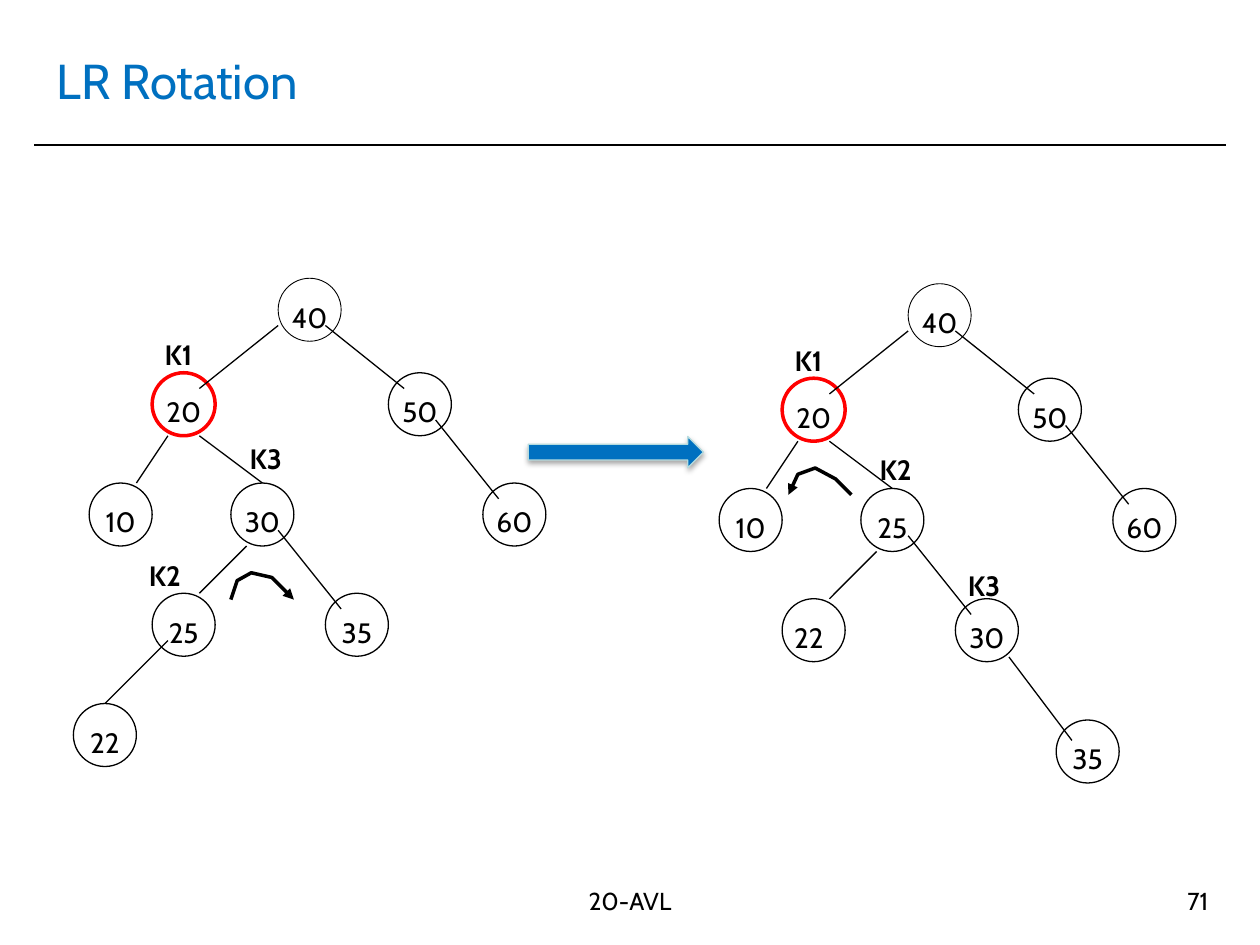
from lxml import etree
from pptx import Presentation
from pptx.dml.color import RGBColor
from pptx.enum.shapes import MSO_CONNECTOR, MSO_SHAPE
from pptx.enum.text import MSO_ANCHOR, MSO_AUTO_SIZE, PP_ALIGN
from pptx.oxml import parse_xml
from pptx.oxml.ns import qn
from pptx.util import Cm, Pt

STRAIGHT = MSO_CONNECTOR.STRAIGHT
OVAL, RECT, BLOCK_ARROW = MSO_SHAPE.OVAL, MSO_SHAPE.RECTANGLE, MSO_SHAPE.RIGHT_ARROW
TOP, MIDDLE = MSO_ANCHOR.TOP, MSO_ANCHOR.MIDDLE
LEFT, CENTER, RIGHT = PP_ALIGN.LEFT, PP_ALIGN.CENTER, PP_ALIGN.RIGHT
GROW = MSO_AUTO_SIZE.SHAPE_TO_FIT_TEXT

COLORS = {"ink": "000000", "paper": "FFFFFF", "blue": "0070C0", "red": "FF0000", "pale": "B6DCDF"}
FORMATS = {
    "title": {"name": "Cabin", "size": Pt(28), "bold": False},
    "footer": {"name": "Cabin", "size": Pt(14), "bold": False},
    "key": {"name": "Cabin", "size": Pt(16), "bold": False},
    "label": {"name": "Cabin", "size": Pt(16), "bold": True},
}

# Trees are drawn on a grid; a node is four cells across
CELL = 0.3175
NODE = 4
UPPER_NODES = {"40": (13, 0), "20": (5, 6), "50": (20, 6), "10": (1, 13), "60": (26, 13)}
SHARED_EDGES = [
    ((13, 3), (8, 7)), ((6, 10), (4, 13)), ((8, 10), (12, 13)), ((11, 17), (8, 20)),
    ((13, 16), (17, 21)), ((23, 9), (27, 14)), ((16, 3), (21, 7)),
]
BEFORE = {
    "nodes": {**UPPER_NODES, "30": (10, 13), "25": (5, 20), "35": (16, 20), "22": (0, 27)},
    "edges": SHARED_EDGES + [((6, 23), (2, 27))],
    "labels": {"K1": (5, 3.4), "K3": (10.4, 10), "K2": (4, 17.4)},
    "turn": [(10, 20.4), (10.4, 19.2), (11.3, 18.7), (12.6, 19), (14, 20.4)],
}
AFTER = {
    "nodes": {**UPPER_NODES, "25": (10, 13), "22": (5, 20), "30": (16, 20), "35": (22.4, 27.7)},
    "edges": SHARED_EDGES + [((19.4, 23.7), (23.4, 29))],
    "labels": {"K1": (5, 3.4), "K3": (16, 17.7), "K2": (10.4, 10.3)},
    "turn": [(9.4, 13.4), (8.4, 12.4), (7.1, 11.7), (6, 12.1), (5.4, 13.4)],
}
KEY_SHIFT = {"22": -0.3}  # the key of this node sits off centre after the rotation


def rgb(name):
    return RGBColor.from_string(COLORS[name])


def write(box, text, style, color="ink", align=LEFT, anchor=TOP, wrap=True):
    frame = box.text_frame
    frame.word_wrap = wrap
    frame.vertical_anchor = anchor
    para = frame.paragraphs[0]
    para.alignment = align
    span = para.add_run()
    span.text = text
    for attribute, value in FORMATS[style].items():
        setattr(span.font, attribute, value)
    span.font.color.rgb = rgb(color)


def outline(shape, color="ink", width=0.75):
    shape.line.color.rgb = rgb(color)
    shape.line.width = Pt(width)


def add_line(shapes, start, end, width=0.75):
    line = shapes.add_connector(STRAIGHT, *start, *end)
    outline(line, width=width)
    etree.SubElement(line.element.spPr, qn("a:effectLst"))


def add_heading(page, left, top, width, height):
    title = page.shapes.title
    title.left, title.top, title.width, title.height = Cm(left), Cm(top), Cm(width), Cm(height)
    write(title, "LR Rotation", "title", "blue", anchor=MIDDLE)
    rule_y = Cm(top + 2.39)
    add_line(page.shapes, (Cm(left - 0.2), rule_y), (Cm(left + width + 0.22), rule_y), 1)


def add_footer(page, left, top, height):
    for text, offset, width, align in (("20-AVL", 0, 8.4, CENTER), ("71", 10.19, 5.92, RIGHT)):
        box = page.shapes.add_textbox(Cm(left + offset), Cm(top), Cm(width), Cm(height))
        write(box, text, "footer", align=align)


def add_step_arrow(page, left, top, width, height):
    arrow = page.shapes.add_shape(BLOCK_ARROW, Cm(left), Cm(top), Cm(width), Cm(height))
    arrow.fill.solid()
    arrow.fill.fore_color.rgb = rgb("blue")
    outline(arrow, "pale")
    arrow.element.spPr.append(parse_xml(
        '<a:effectLst xmlns:a="http://schemas.openxmlformats.org/drawingml/2006/main">'
        f'<a:outerShdw blurRad="{Pt(3.1)}" dist="{Pt(1.8)}" dir="5400000" rotWithShape="0">'
        f'<a:srgbClr val="{COLORS["ink"]}"><a:alpha val="35000"/></a:srgbClr>'
        "</a:outerShdw></a:effectLst>"))


def add_tree(page, left, top, tree, key_shift):
    shapes = page.shapes.add_group_shape().shapes

    def at(column, row):
        return Cm(left + column * CELL), Cm(top + row * CELL)

    size = Cm(NODE * CELL)

    # Nodes: a key on a white strip, then a ring
    for key, (column, row) in tree["nodes"].items():
        strip = shapes.add_shape(RECT, *at(column + key_shift.get(key, 0), row + 1), size, size // 2)
        strip.fill.solid()
        strip.fill.fore_color.rgb = rgb("paper")
        strip.line.fill.background()
        strip.shadow.inherit = False
        write(strip, key, "key", align=CENTER)
        ring = shapes.add_shape(OVAL, *at(column, row), size, size)
        ring.fill.background()
        ring.shadow.inherit = False
        outline(ring, *{"20": ("red", 2), "40": ("ink", 0.5)}.get(key, ("ink", 0.75)))

    # Edges
    for start, end in tree["edges"]:
        add_line(shapes, at(*start), at(*end))

    # Names of the rotated nodes
    for name, place in tree["labels"].items():
        box = shapes.add_textbox(*at(*place), size, Cm(0.94))
        write(box, name, "label", wrap=False)
        box.text_frame.auto_size = GROW

    # Direction of the rotation
    points = [at(*point) for point in tree["turn"]]
    builder = shapes.build_freeform(*points[0])
    builder.add_line_segments(points[1:], close=False)
    turn = builder.convert_to_shape()
    turn.fill.background()
    turn.shadow.inherit = False
    outline(turn, width=2)
    etree.SubElement(turn.element.spPr.find(qn("a:ln")), qn("a:tailEnd"), type="triangle")


def main():
    deck = Presentation()
    deck.slide_width, deck.slide_height = Cm(25.4), Cm(19.05)
    page = deck.slides.add_slide(deck.slide_layouts[5])
    add_heading(page, 0.89, 0.53, 23.6, 2.16)
    add_footer(page, 8.5, 17.73, 1.32)
    add_step_arrow(page, 10.65, 8.8, 3.53, 0.63)
    add_tree(page, 1.48, 5.61, BEFORE, {})
    add_tree(page, 14.18, 5.72, AFTER, KEY_SHIFT)
    deck.save("out.pptx")


if __name__ == "__main__":
    main()
